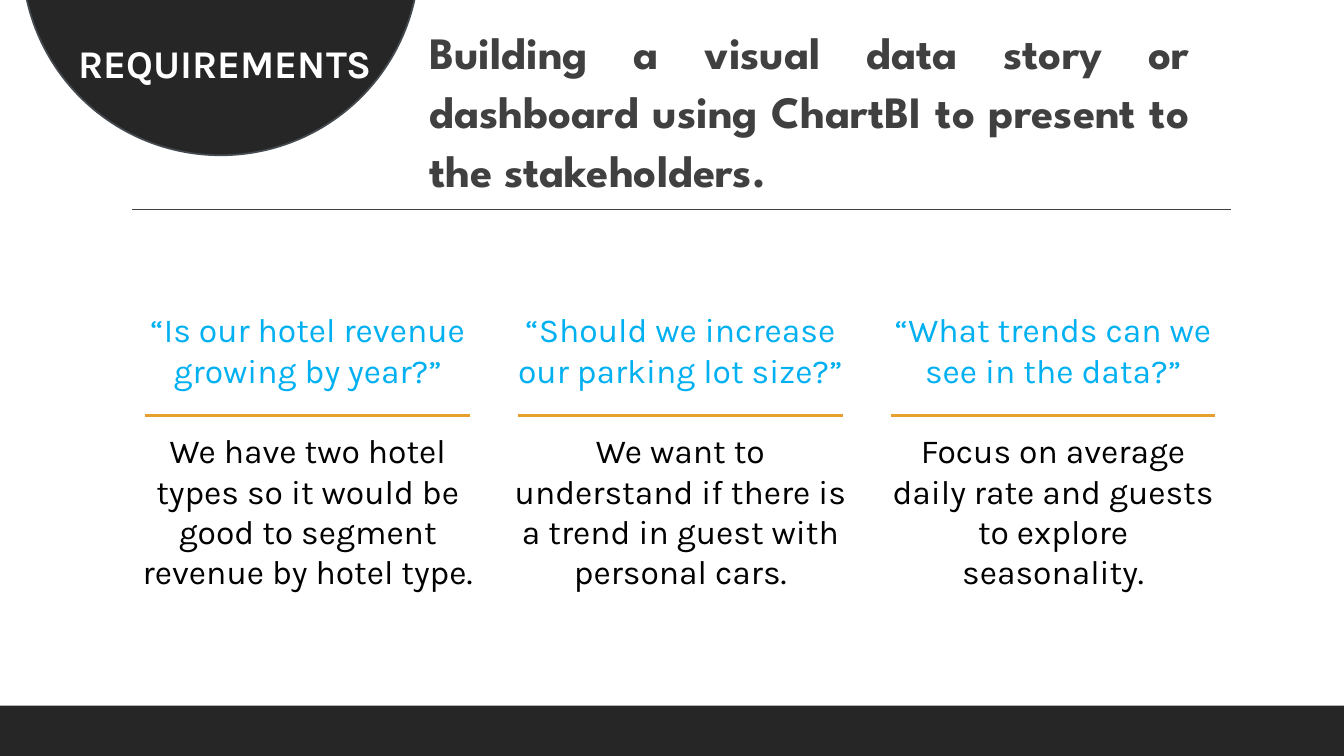
from dataclasses import dataclass

from lxml import etree
from pptx import Presentation
from pptx.dml.color import RGBColor
from pptx.enum.shapes import MSO_CONNECTOR, MSO_SHAPE
from pptx.enum.text import MSO_ANCHOR, MSO_AUTO_SIZE, PP_ALIGN
from pptx.oxml.ns import qn
from pptx.util import Pt

STRAIGHT = MSO_CONNECTOR.STRAIGHT
RECTANGLE, OVAL = MSO_SHAPE.RECTANGLE, MSO_SHAPE.OVAL
CENTER, JUSTIFY = PP_ALIGN.CENTER, PP_ALIGN.JUSTIFY
TOP = MSO_ANCHOR.TOP
NO_FIT = MSO_AUTO_SIZE.NONE
TITLE_ONLY = 5


@dataclass(frozen=True)
class Theme:
    dark: str = "262626"
    outline: str = "444A50"
    heading: str = "404040"
    white: str = "FFFFFF"
    question: str = "00B0F0"
    answer: str = "000000"
    accent: str = "E6A02E"
    body_font: str = "Karla"
    title_font: str = "League Spartan"
    title_size: int = 32
    badge_size: int = 28
    body_size: int = 24


THEME = Theme()
PAGE_WIDTH, PAGE_HEIGHT = 960, 540

# Column grid, in points
COLUMN_LEFT, COLUMN_WIDTH, COLUMN_STEP = 100.8, 238.1, 266.2
TEXT_TOP, TEXT_HEIGHT = 217.4, 209.5
RULE_INSET, RULE_WIDTH, RULE_Y = 3, 231.8, 296.6
ANSWER_GAP = 28.8

COLUMNS = [
    ("“Is our hotel revenue growing by year?”",
     "We have two hotel types so it would be good to segment revenue by hotel type."),
    ("“Should we increase our parking lot size?”",
     "We want to understand if there is a trend in guest with personal cars."),
    ("“What trends can we see in the data?”",
     "Focus on average daily rate and guests to explore seasonality."),
]


def color(code):
    return RGBColor.from_string(code)


def add_filled_shape(page, kind, left, top, width, height, outline=None):
    shape = page.shapes.add_shape(kind, Pt(left), Pt(top), Pt(width), Pt(height))
    shape.shadow.inherit = False
    shape.fill.solid()
    shape.fill.fore_color.rgb = color(THEME.dark)
    if outline:
        shape.line.color.rgb = color(outline)
        shape.line.width = Pt(1.25)
    else:
        shape.line.fill.background()


def add_rule(page, left, y, width, code, weight):
    rule = page.shapes.add_connector(STRAIGHT, Pt(left), Pt(y), Pt(left + width), Pt(y))
    rule.line.color.rgb = color(code)
    rule.line.width = Pt(weight)
    etree.SubElement(rule._element.spPr, qn("a:effectLst"))


def set_frame(box, indent=0):
    frame = box.text_frame
    frame.word_wrap = True
    frame.auto_size = NO_FIT
    frame.vertical_anchor = TOP
    frame.margin_left, frame.margin_right = Pt(indent), 0
    frame.margin_top = frame.margin_bottom = Pt(3.6)
    return frame


def write(para, text, font, size, code, align, bold=False):
    para.text = text
    para.alignment = align
    for span in para.runs:
        span.font.name = font
        span.font.size = Pt(size)
        span.font.bold = bold
        span.font.color.rgb = color(code)


def add_text_box(page, left, top, width, height):
    return page.shapes.add_textbox(Pt(left), Pt(top), Pt(width), Pt(height))


def write_heading(box, text, font, size, code, align):
    para = set_frame(box, indent=7.2).paragraphs[0]
    write(para, text, font, size, code, align, bold=True)
    para.line_spacing = 1.1
    para.space_before, para.space_after = Pt(12), Pt(2)


def add_column(page, index, question, answer):
    left = COLUMN_LEFT + index * COLUMN_STEP
    frame = set_frame(add_text_box(page, left, TEXT_TOP, COLUMN_WIDTH, TEXT_HEIGHT))
    write(frame.paragraphs[0], question, THEME.body_font, THEME.body_size,
          THEME.question, CENTER)
    para = frame.add_paragraph()
    write(para, answer, THEME.body_font, THEME.body_size, THEME.answer, CENTER)
    para.space_before = Pt(ANSWER_GAP)
    add_rule(page, left + RULE_INSET, RULE_Y, RULE_WIDTH, THEME.accent, 2.25)


def main():
    deck = Presentation()
    deck.slide_width, deck.slide_height = Pt(PAGE_WIDTH), Pt(PAGE_HEIGHT)
    page = deck.slides.add_slide(deck.slide_layouts[TITLE_ONLY])

    # Title
    title = page.shapes.title
    title.left, title.top, title.width, title.height = Pt(299.5), Pt(10), Pt(550.8), Pt(125.3)
    write_heading(
        title,
        "Building a visual data story or dashboard using ChartBI to present to the stakeholders.",
        THEME.title_font, THEME.title_size, THEME.heading, JUSTIFY)

    # Footer band and heading rule
    add_filled_shape(page, RECTANGLE, 0, 504, PAGE_WIDTH, 36)
    add_rule(page, 94.3, 149.5, 784.8, THEME.heading, 1)

    # Round section badge
    add_filled_shape(page, OVAL, 15.8, -172.8, 283.7, 283.7, THEME.outline)
    write_heading(add_text_box(page, 33.1, 20.9, 248.4, 90), "REQUIREMENTS",
                  THEME.body_font, THEME.badge_size, THEME.white, CENTER)

    # Questions and answers
    for index, (question, answer) in enumerate(COLUMNS):
        add_column(page, index, question, answer)

    deck.save("out.pptx")


if __name__ == "__main__":
    main()
